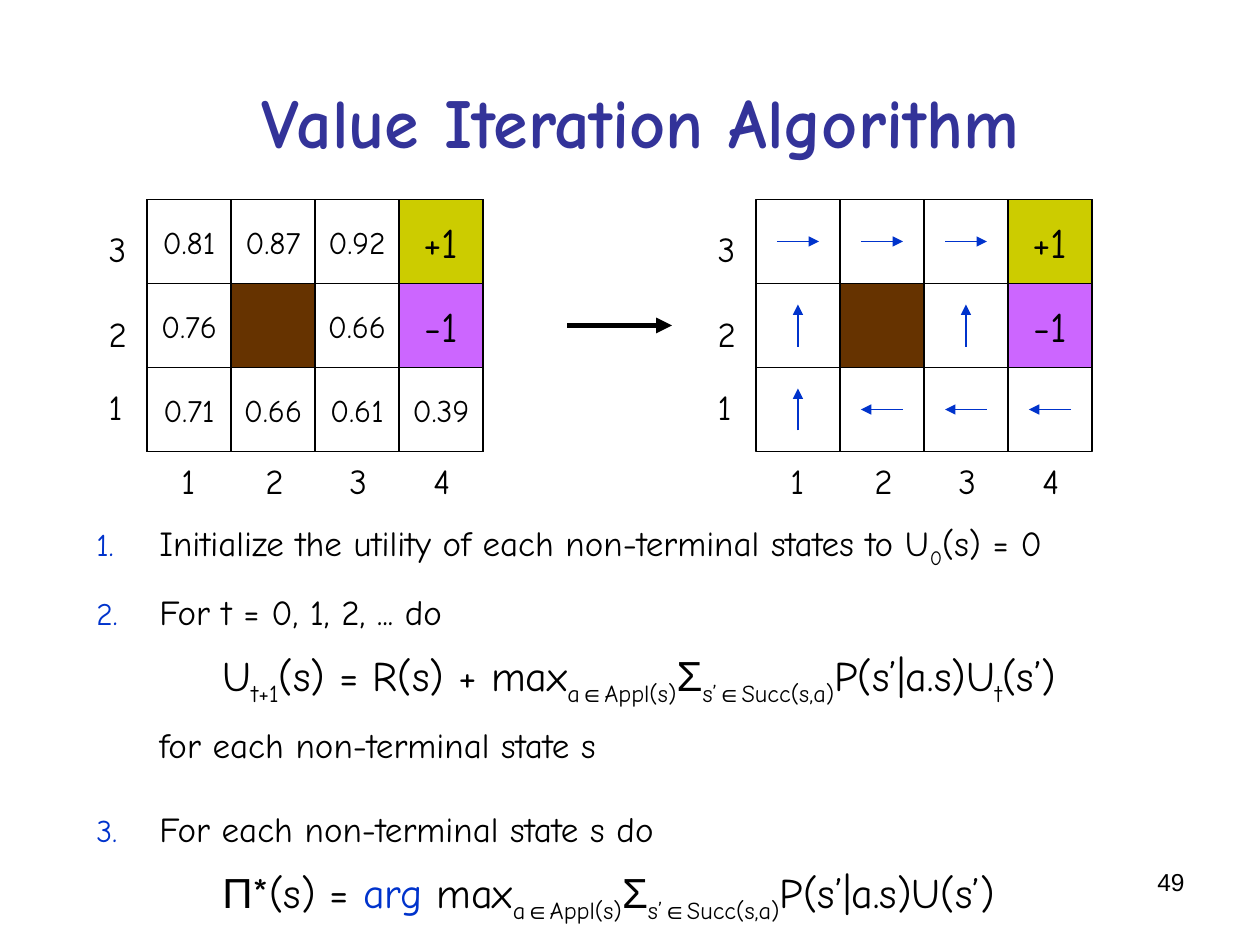
from lxml.etree import SubElement
from pptx import Presentation
from pptx.dml.color import RGBColor
from pptx.enum.shapes import MSO_CONNECTOR as Connector, MSO_SHAPE as Shape
from pptx.enum.text import MSO_ANCHOR as Anchor, PP_ALIGN as Align
from pptx.oxml.ns import qn
from pptx.util import Pt

FONT, SYMBOL_FONT = "Comic Neue", "Arial"
BLACK, WHITE, BLUE, NAVY = "000000", "FFFFFF", "0033CC", "333399"
CELL, GRID_TOP = 48, 114
VALUES_LEFT, POLICY_LEFT = 84, 432
ROW_LABELS = [("3", 126.7), ("2", 175), ("1", 216.7)]
COLUMN_LABELS = ["1", "2", "3", "4"]
SPECIAL = {"+1": "CCCC00", "-1": "CC66FF", "wall": "663300"}
DIRECTIONS = {"right": (1, 0), "left": (-1, 0), "up": (0, -1)}
VALUES = [
    ["0.81", "0.87", "0.92", "+1"],
    ["0.76", "wall", "0.66", "-1"],
    ["0.71", "0.66", "0.61", "0.39"],
]
POLICY = [
    ["right", "right", "right", "+1"],
    ["up", "wall", "up", "-1"],
    ["up", "left", "left", "left"],
]

SUM_OVER_SUCCESSORS = [
    ("a", "sub"), ("∈", "sub symbol"), ("Appl(s)", "sub"), ("Σ", "symbol"),
    ("s’", "sub"), ("∈", "sub symbol"), ("Succ(s,a)", "sub"),
]
# number, left margin, size, space before, runs
STEPS = [
    (1, 36, 20, 0, [("Initialize the utility of each non-terminal states to U", ""),
                    ("0", "sub"), ("(s) = 0", "")]),
    (2, 36, 20, 8, [("For t = 0, 1, 2, ... do", "")]),
    (None, 72, 24, 14.5, [("U", ""), ("t+1", "sub"), ("(s) = R(s) + max", ""),
                          *SUM_OVER_SUCCESSORS,
                          ("P(s’|a.s)U", ""), ("t", "sub"), ("(s’)", "")]),
    (None, 36, 20, 5.5, [("for each non-terminal state s", "")]),
    (3, 36, 20, 20, [("For each non-terminal state s do", "")]),
    (None, 72, 24, 14.5, [("Π", "symbol"), ("*(s) = ", ""), ("arg", "blue"), (" max", ""),
                          *SUM_OVER_SUCCESSORS, ("P(s’|a.s)U(s’)", "")]),
]


def rgb(value):
    return RGBColor.from_string(value)


def add_run(para, text, size, color=BLACK, font=FONT, bold=False):
    span = para.add_run()
    span.text = text
    span.font.size, span.font.name, span.font.bold = Pt(size), font, bold
    span.font.color.rgb = rgb(color)
    return span


def add_text(shapes, left, top, width, height, wrap=False):
    box = shapes.add_textbox(Pt(left), Pt(top), Pt(width), Pt(height))
    box.text_frame.word_wrap = wrap
    return box.text_frame


def add_square(shapes, left, top, width, height, fill=None):
    square = shapes.add_shape(Shape.RECTANGLE, Pt(left), Pt(top), Pt(width), Pt(height))
    square.shadow.inherit = False
    if fill:
        square.fill.solid()
        square.fill.fore_color.rgb = rgb(fill)
    else:
        square.fill.background()
    square.line.color.rgb = rgb(BLACK)
    square.line.width = Pt(0.75)
    return square


def add_line(shapes, x1, y1, x2, y2, color=BLACK, width=0.75, arrow=False):
    line = shapes.add_connector(Connector.STRAIGHT, Pt(x1), Pt(y1), Pt(x2), Pt(y2))
    line.line.color.rgb = rgb(color)
    line.line.width = Pt(width)
    if arrow:
        SubElement(line.line._get_or_add_ln(), qn("a:tailEnd"), type="triangle")
    SubElement(line._element.spPr, qn("a:effectLst"))


def add_cell(shapes, left, top, content):
    if content in DIRECTIONS:
        dx, dy = DIRECTIONS[content]
        x, y = left + CELL / 2, top + CELL / 2
        add_line(shapes, x - 12 * dx, y - 12 * dy, x + 12 * dx, y + 12 * dy, BLUE, arrow=True)
        return
    square = add_square(shapes, left, top, CELL, CELL, SPECIAL.get(content, WHITE))
    if content != "wall":
        frame = square.text_frame
        frame.word_wrap = False
        frame.vertical_anchor = Anchor.MIDDLE
        frame.paragraphs[0].alignment = Align.CENTER
        add_run(frame.paragraphs[0], content, 24 if content in SPECIAL else 18)


def add_grid(page, left, rows):
    shapes = page.shapes.add_group_shape().shapes
    width, height = CELL * len(rows[0]), CELL * len(rows)
    add_square(shapes, left, GRID_TOP, width, height)
    for column in range(1, len(rows[0])):
        x = left + column * CELL
        add_line(shapes, x, GRID_TOP, x, GRID_TOP + height)
    for row in range(1, len(rows)):
        y = GRID_TOP + row * CELL
        add_line(shapes, left, y, left + width, y)
    for row, contents in enumerate(rows):
        for column, content in enumerate(contents):
            add_cell(shapes, left + column * CELL, GRID_TOP + row * CELL, content)
    labels = [(text, left - 29, top) for text, top in ROW_LABELS]
    labels += [(text, left + 12.5 + i * CELL, 259.2) for i, text in enumerate(COLUMN_LABELS)]
    for text, x, y in labels:
        add_run(add_text(shapes, x, y, 24, 31.7).paragraphs[0], text, 20)


def add_steps(page):
    frame = add_text(page.shapes, 48, 294, 654, 237, wrap=True)
    for index, (number, margin, size, before, runs) in enumerate(STEPS):
        para = frame.add_paragraph() if index else frame.paragraphs[0]
        para.line_spacing, para.space_before = Pt(28), Pt(before)
        props = para._p.get_or_add_pPr()
        props.set("marL", str(Pt(margin)))
        props.set("indent", str(Pt(-36 if number else 0)))
        if number:
            color = SubElement(props, qn("a:buClr"))
            SubElement(color, qn("a:srgbClr"), val=BLUE)
            SubElement(props, qn("a:buSzPct"), val="90000")
            SubElement(props, qn("a:buFont"), typeface=FONT)
            SubElement(props, qn("a:buAutoNum"), type="arabicPeriod", startAt=str(number))
        for text, style in runs:
            span = add_run(para, text, size, BLUE if style == "blue" else BLACK,
                           SYMBOL_FONT if "symbol" in style else FONT)
            if "sub" in style:
                span.font._element.set("baseline", "-25000")


def main():
    deck = Presentation()
    deck.slide_width, deck.slide_height = Pt(720), Pt(540)
    page = deck.slides.add_slide(deck.slide_layouts[5])
    title = page.shapes.title
    title.left, title.top, title.width, title.height = Pt(48), Pt(24), Pt(636), Pt(90)
    title.text_frame.vertical_anchor = Anchor.MIDDLE
    heading = title.text_frame.paragraphs[0]
    heading.alignment = Align.CENTER
    add_run(heading, "Value Iteration Algorithm", 40, NAVY, bold=True)
    add_grid(page, POLICY_LEFT, POLICY)
    add_grid(page, VALUES_LEFT, VALUES)
    add_steps(page)
    add_line(page.shapes, 324, 186, 384, 186, width=3, arrow=True)
    number = add_text(page.shapes, 516, 492, 168, 37.5, wrap=True).paragraphs[0]
    number.alignment = Align.RIGHT
    add_run(number, "49", 14, font=SYMBOL_FONT)
    deck.save("out.pptx")


if __name__ == "__main__":
    main()
